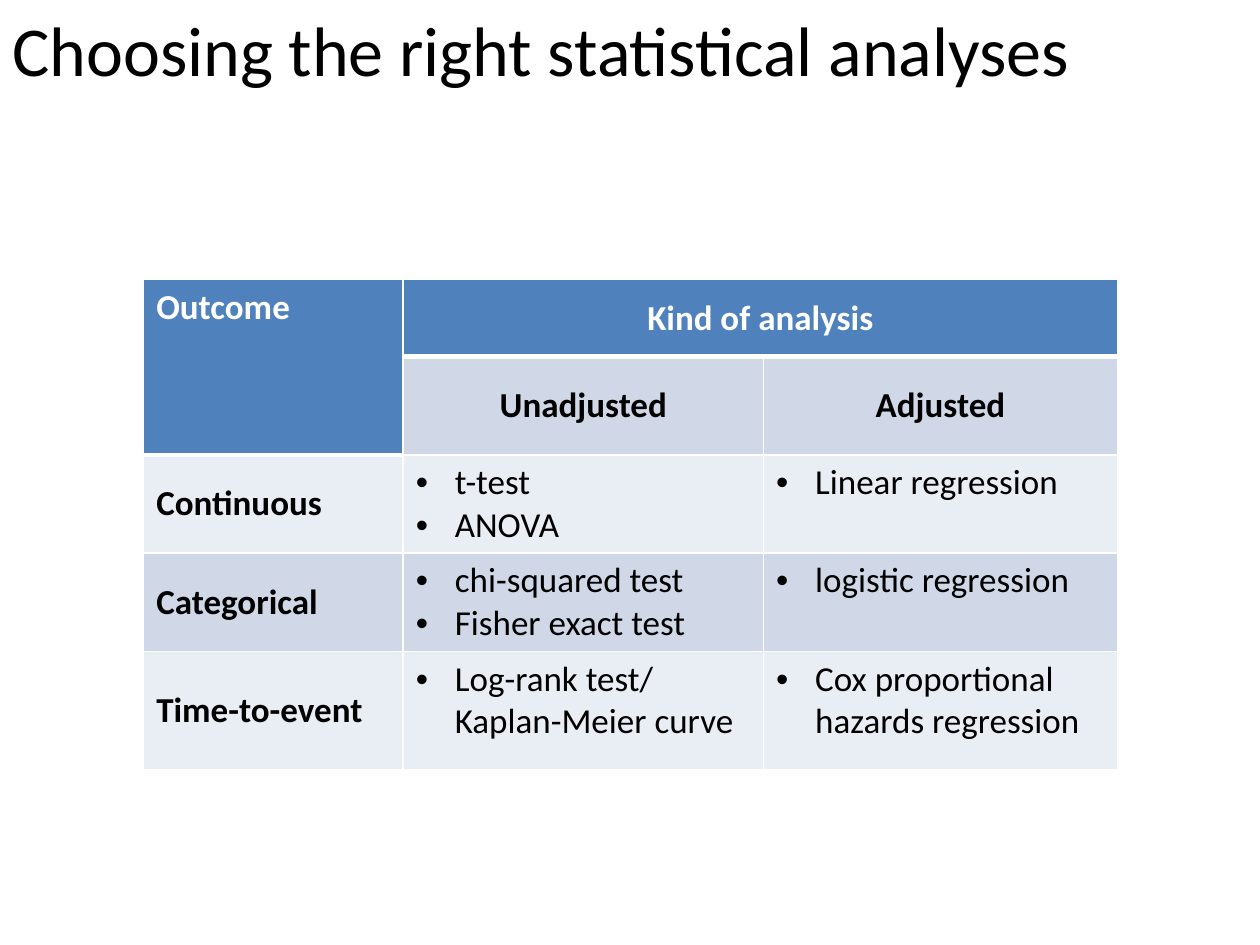
from lxml import etree
from pptx import Presentation
from pptx.dml.color import RGBColor
from pptx.enum.text import MSO_ANCHOR, PP_ALIGN
from pptx.oxml.ns import qn
from pptx.util import Inches, Pt

TITLE = "Choosing the right statistical analyses"
ROWS = [
    ["Outcome", "Kind of analysis", ""],
    ["", "Unadjusted", "Adjusted"],
    ["Continuous", ["t-test", "ANOVA"], ["Linear regression"]],
    ["Categorical", ["chi-squared test", "Fisher exact test"], ["logistic regression"]],
    ["Time-to-event", ["Log-rank test/ Kaplan-Meier curve"], ["Cox proportional hazards regression"]],
]
HEADER = {(0, 0), (0, 1), (0, 2), (1, 0)}
COLUMN_WIDTHS = [2.06, 2.86, 2.81]
ROW_HEIGHTS = [0.61, 0.78, 0.78, 0.78, 0.94]
COLORS = {"header": "4F81BD", "dark_band": "D0D8E8", "light_band": "E9EDF4",
          "white": "FFFFFF", "black": "000000"}
FONT = "Calibri"
BULLET_INDENT = Inches(0.31)


def rgb(name):
    return RGBColor.from_string(COLORS[name])


def style_font(font, size, color, bold=False):
    font.name = FONT
    font.size = Pt(size)
    font.bold = bold
    font.color.rgb = rgb(color)


def add_bullet(paragraph):
    properties = paragraph._p.get_or_add_pPr()
    properties.set("marL", str(BULLET_INDENT))
    properties.set("indent", str(-BULLET_INDENT))
    etree.SubElement(properties, qn("a:buFont")).set("typeface", "Arial")
    etree.SubElement(properties, qn("a:buChar")).set("char", "•")


def add_borders(cell, row, column):
    widths = {"L": 1, "R": 1,
              "T": 3 if (row - 1, column) in HEADER else 1,
              "B": 3 if (row, column) in HEADER else 1}
    properties = cell._tc.get_or_add_tcPr()
    for side, width in widths.items():
        line = etree.SubElement(properties, qn(f"a:ln{side}"), w=str(Pt(width)))
        fill = etree.SubElement(line, qn("a:solidFill"))
        etree.SubElement(fill, qn("a:srgbClr")).set("val", COLORS["white"])


def fill_cell(cell, content, row, column):
    is_header = (row, column) in HEADER
    is_list = isinstance(content, list)
    add_borders(cell, row, column)
    cell.fill.solid()
    band = "dark_band" if row % 2 else "light_band"
    cell.fill.fore_color.rgb = rgb("header" if is_header else band)
    top_aligned = is_list or (row, column) == (0, 0)
    cell.vertical_anchor = MSO_ANCHOR.TOP if top_aligned else MSO_ANCHOR.MIDDLE
    cell.text_frame.text = "\n".join(content) if is_list else content
    for paragraph in cell.text_frame.paragraphs:
        if is_list:
            add_bullet(paragraph)
        elif column > 0:
            paragraph.alignment = PP_ALIGN.CENTER
        style_font(paragraph.font, 20, "white" if is_header else "black", not is_list)
        for run in paragraph.runs:
            style_font(run.font, 20, "white" if is_header else "black", not is_list)


def main():
    presentation = Presentation()
    presentation.slide_width, presentation.slide_height = Inches(10), Inches(7.5)
    slide = presentation.slides.add_slide(presentation.slide_layouts[6])

    title = slide.shapes.add_textbox(0, 0, Inches(10), Inches(1.25)).text_frame
    title.word_wrap = True
    title.text = TITLE
    style_font(title.paragraphs[0].runs[0].font, 40, "black")

    analyses = slide.shapes.add_table(
        len(ROWS), len(COLUMN_WIDTHS), Inches(1.14), Inches(2.22),
        Inches(sum(COLUMN_WIDTHS)), Inches(sum(ROW_HEIGHTS))).table
    for column, width in zip(analyses.columns, COLUMN_WIDTHS):
        column.width = Inches(width)
    for row, height in zip(analyses.rows, ROW_HEIGHTS):
        row.height = Inches(height)
    for row, contents in enumerate(ROWS):
        for column, content in enumerate(contents):
            fill_cell(analyses.cell(row, column), content, row, column)
    analyses.cell(0, 0).merge(analyses.cell(1, 0))
    analyses.cell(0, 1).merge(analyses.cell(0, 2))

    presentation.save("out.pptx")


if __name__ == "__main__":
    main()
